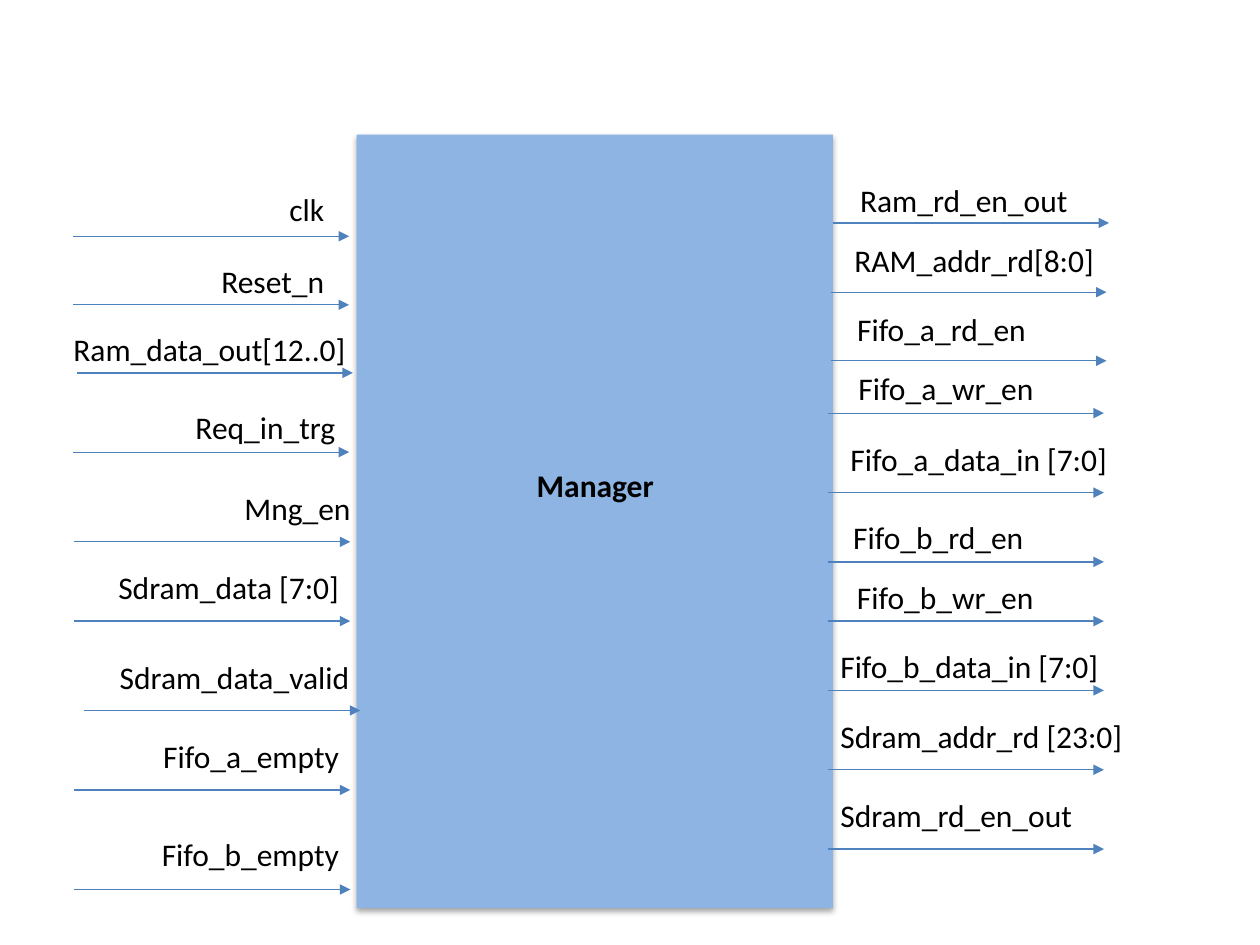
from lxml.etree import SubElement
from pptx import Presentation
from pptx.dml.color import RGBColor
from pptx.enum.shapes import MSO_CONNECTOR, MSO_SHAPE
from pptx.enum.text import MSO_AUTO_SIZE, PP_ALIGN
from pptx.oxml.ns import qn
from pptx.util import Pt

COLORS = {"block": "8EB4E3", "arrow": "4F81BD", "text": "000000", "shadow": "000000"}
FONT = {"name": "Calibri", "size": Pt(18), "bold": False}
BLOCK = (203.8, 77, 272.2, 442)
ARROW_LENGTH = 157.7
LABEL_HEIGHT = 29
L, R = PP_ALIGN.LEFT, PP_ALIGN.RIGHT

# label, label x, y, width, alignment, arrow x, arrow y
INPUTS = [
    ("clk", -169.9, 28.1, 158.4, R, -162, 58),
    ("Reset_n", -169.9, 69.1, 158.4, R, -162, 97.2),
    ("Ram_data_out[12..0]", -183.6, 108, 184.3, R, -159.9, 136.1),
    ("Req_in_trg", -189.4, 152.6, 184.3, R, -162, 181.4),
    ("Mng_en", -189.4, 198.7, 193, R, -161.3, 232.6),
    ("Sdram_data [7:0]", -155.6, 244.1, 152.6, R, -161.3, 277.9),
    ("Sdram_data_valid", -149.8, 295.2, 152.6, R, -155.6, 329),
    ("Fifo_a_empty", -155.6, 340.6, 152.6, R, -161.3, 374.4),
    ("Fifo_b_empty", -155.6, 396.7, 152.6, R, -161.3, 431.3),
]
OUTPUTS = [
    ("Ram_rd_en_out", -36.7, 23, 177.8, R, 0, 50.4),
    ("RAM_addr_rd[8:0]", -25.2, 56.9, 181.4, R, -1.4, 90),
    ("Fifo_a_rd_en", -31, 96.5, 148.3, R, -1.4, 129.2),
    ("Fifo_a_wr_en", -36.7, 130.3, 158.4, R, -2.9, 159.1),
    ("Fifo_a_data_in [7:0]", 2.9, 170.6, 175.7, L, -2.9, 204.5),
    ("Fifo_b_rd_en", -42.5, 215.3, 158.4, R, -2.9, 244.1),
    ("Fifo_b_wr_en", -36.7, 249.8, 158.4, R, -2.9, 277.9),
    ("Fifo_b_data_in [7:0]", -2.9, 289.4, 181.4, L, -2.9, 317.5),
    ("Sdram_addr_rd [23:0]", -2.9, 329, 181.4, L, -2.9, 362.9),
    ("Sdram_rd_en_out", -2.9, 374.4, 181.4, L, -2.9, 408.2),
]


def color(name):
    """Return a named colour."""
    return RGBColor.from_string(COLORS[name])


def add_label(s, text, x, y, w, align, **changes):
    """Add one line of text."""
    tf = s.shapes.add_textbox(Pt(x), Pt(y), Pt(w), Pt(LABEL_HEIGHT)).text_frame
    tf.word_wrap = True
    tf.auto_size = MSO_AUTO_SIZE.SHAPE_TO_FIT_TEXT
    p = tf.paragraphs[0]
    p.alignment = align
    r = p.add_run()
    r.text = text
    for key, value in {**FONT, **changes}.items():
        setattr(r.font, key, value)
    r.font.color.rgb = color("text")


def add_arrow(s, x, y):
    """Add a signal arrow pointing right."""
    c = s.shapes.add_connector(MSO_CONNECTOR.STRAIGHT, Pt(x), Pt(y), Pt(x + ARROW_LENGTH), Pt(y))
    c.line.color.rgb = color("arrow")
    c.line.width = Pt(0.75)
    SubElement(c.line._get_or_add_ln(), qn("a:tailEnd"), type="triangle")
    SubElement(c._element.spPr, qn("a:effectLst"))


def add_block(s, x, y, w, h):
    """Add the manager block with its soft shadow and title."""
    sp = s.shapes.add_shape(MSO_SHAPE.RECTANGLE, Pt(x), Pt(y), Pt(w), Pt(h))
    sp.shadow.inherit = False
    sp.fill.solid()
    sp.fill.fore_color.rgb = color("block")
    sp.line.fill.background()
    effects = sp._element.spPr.find(qn("a:effectLst"))
    shadow = SubElement(effects, qn("a:outerShdw"), blurRad=str(Pt(3.1)),
                        dist=str(Pt(1.8)), dir="5400000", rotWithShape="0")
    rgb = SubElement(shadow, qn("a:srgbClr"), val=COLORS["shadow"])
    SubElement(rgb, qn("a:alpha"), val="35000")
    add_label(s, "Manager", x + 43.9, y + 185.8, 185, PP_ALIGN.CENTER, bold=True)


def add_ports(s, x, y, ports):
    """Add labelled arrows relative to a corner of the block."""
    for text, dx, dy, w, align, arrow_x, arrow_y in ports:
        add_label(s, text, x + dx, y + dy, w, align)
        add_arrow(s, x + arrow_x, y + arrow_y)


def main():
    """Build and save the block diagram."""
    prs = Presentation()
    prs.slide_width, prs.slide_height = Pt(720), Pt(540)
    s = prs.slides.add_slide(prs.slide_layouts[6])
    x, y, w, h = BLOCK
    add_block(s, x, y, w, h)
    add_ports(s, x, y, INPUTS)
    add_ports(s, x + w, y, OUTPUTS)
    prs.save("out.pptx")


main()
